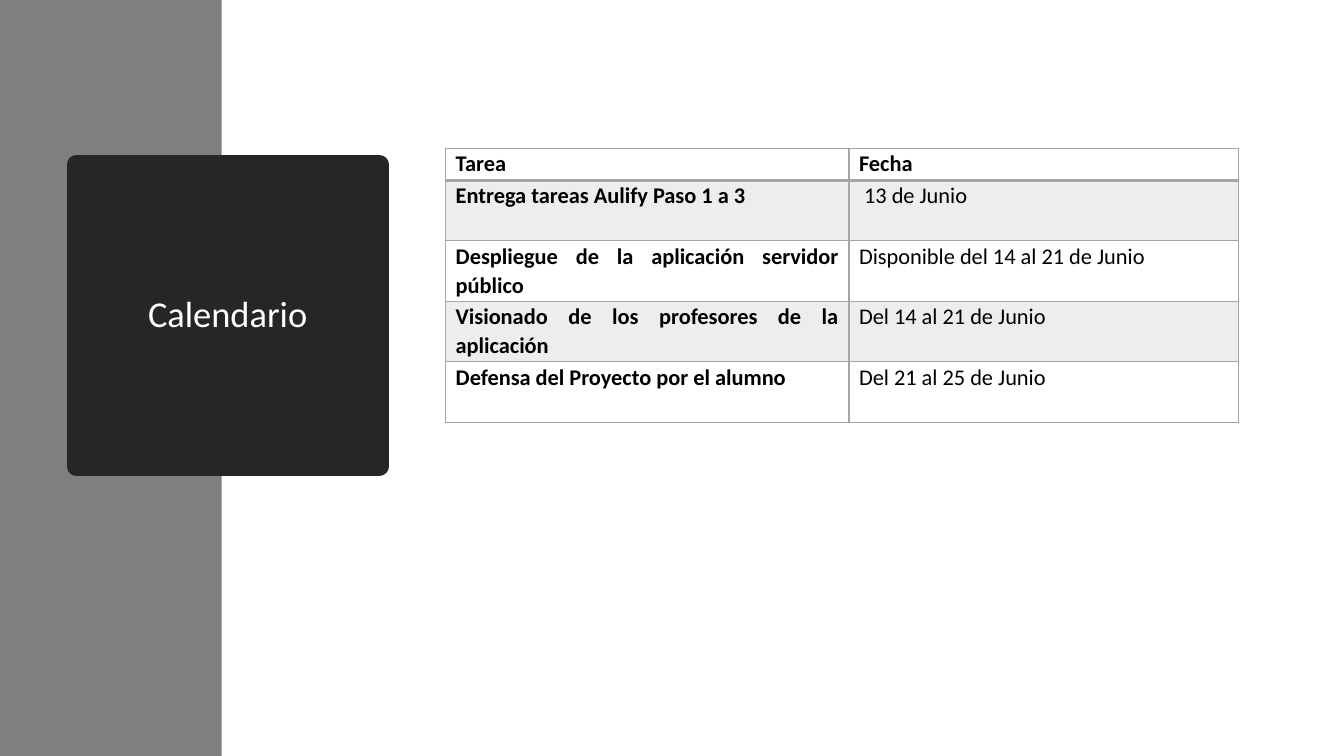
from lxml import etree
from pptx import Presentation
from pptx.dml.color import RGBColor
from pptx.enum.shapes import MSO_SHAPE
from pptx.enum.text import MSO_ANCHOR, PP_ALIGN
from pptx.oxml.ns import qn
from pptx.util import Inches, Pt

RECTANGLE = MSO_SHAPE.RECTANGLE
MIDDLE = MSO_ANCHOR.MIDDLE
CENTER, JUSTIFY = PP_ALIGN.CENTER, PP_ALIGN.JUSTIFY

FONT = "Calibri"
COLORS = {
    "sidebar": "7F7F7F",
    "title": "262626",
    "white": "FFFFFF",
    "text": "000000",
    "border": "A5A5A5",
    "band": "EDEDED",
}
SCHEDULE = [
    ("Tarea", "Fecha"),
    ("Entrega tareas Aulify Paso 1 a 3", " 13 de Junio"),
    ("Despliegue de la aplicación servidor público", "Disponible del 14 al 21 de Junio"),
    ("Visionado de los profesores de la aplicación", "Del 14 al 21 de Junio"),
    ("Defensa del Proyecto por el alumno", "Del 21 al 25 de Junio"),
]
COLUMN_WIDTHS = (4, 3.86)
HEADER_HEIGHT, TASK_HEIGHT = 0.32, 0.6


class CalendarSlide:
    def __init__(self, slide):
        self.slide = slide

    def color(self, name):
        return RGBColor.from_string(COLORS[name])

    def style_paragraph(self, paragraph, size, color, align, spacing, bold=False):
        paragraph.alignment = align
        paragraph.line_spacing = spacing
        font = paragraph.font
        font.name, font.size, font.bold = FONT, Pt(size), bold
        font.color.rgb = self.color(color)

    def block(self, left, top, width, height, fill):
        block = self.slide.shapes.add_shape(
            RECTANGLE, Inches(left), Inches(top), Inches(width), Inches(height))
        block.shadow.inherit = False
        block.fill.solid()
        block.fill.fore_color.rgb = self.color(fill)
        block.line.fill.background()
        return block

    def title(self, text, left, top, side):
        """Dark square whose thick outline has rounded joins."""
        square = self.block(left, top, side, side, "title")
        square.line.color.rgb = self.color("title")
        square.line.width = Pt(13.75)
        etree.SubElement(square.line._get_or_add_ln(), qn("a:round"))
        frame = square.text_frame
        frame.word_wrap = True
        frame.vertical_anchor = MIDDLE
        heading = frame.paragraphs[0]
        heading.text = text
        self.style_paragraph(heading, 26, "white", CENTER, 0.9)

    def borders(self, cell, **widths):
        """Draw the cell edges; widths maps L, R, T, B to points."""
        properties = cell._tc.get_or_add_tcPr()
        for position, edge in enumerate("LRTB"):
            line = etree.Element(qn(f"a:ln{edge}"), w=str(Pt(widths.get(edge, 1))))
            fill = etree.SubElement(line, qn("a:solidFill"))
            etree.SubElement(fill, qn("a:srgbClr"), val=COLORS["border"])
            properties.insert(position, line)

    def cell(self, cell, text, bold, fill):
        cell.margin_left = cell.margin_right = Inches(0.1)
        cell.margin_top = cell.margin_bottom = 0
        cell.fill.solid()
        cell.fill.fore_color.rgb = self.color(fill)
        paragraph = cell.text_frame.paragraphs[0]
        paragraph.text = text
        paragraph.space_after = Pt(8)
        self.style_paragraph(paragraph, 16, "text", JUSTIFY, 1.07, bold)

    def schedule(self, left, top, rows):
        heights = [HEADER_HEIGHT] + [TASK_HEIGHT] * (len(rows) - 1)
        table = self.slide.shapes.add_table(
            len(rows), len(COLUMN_WIDTHS), Inches(left), Inches(top),
            Inches(sum(COLUMN_WIDTHS)), Inches(sum(heights))).table
        for column, width in zip(table.columns, COLUMN_WIDTHS):
            column.width = Inches(width)
        for r, (texts, height) in enumerate(zip(rows, heights)):
            table.rows[r].height = Inches(height)
            for c, text in enumerate(texts):
                cell = table.cell(r, c)
                self.cell(cell, text, r == 0 or c == 0, "band" if r % 2 else "white")
                self.borders(cell, T=2 if r == 1 else 1, B=2 if r == 0 else 1)


def main():
    presentation = Presentation()
    presentation.slide_width = Inches(13.33)
    presentation.slide_height = Inches(7.5)
    calendar = CalendarSlide(presentation.slides.add_slide(presentation.slide_layouts[6]))
    calendar.block(0, 0, 2.2, 7.5, "sidebar")
    calendar.title("Calendario", 0.76, 1.63, 3)
    calendar.schedule(4.42, 1.47, SCHEDULE)
    presentation.save("out.pptx")


if __name__ == "__main__":
    main()
